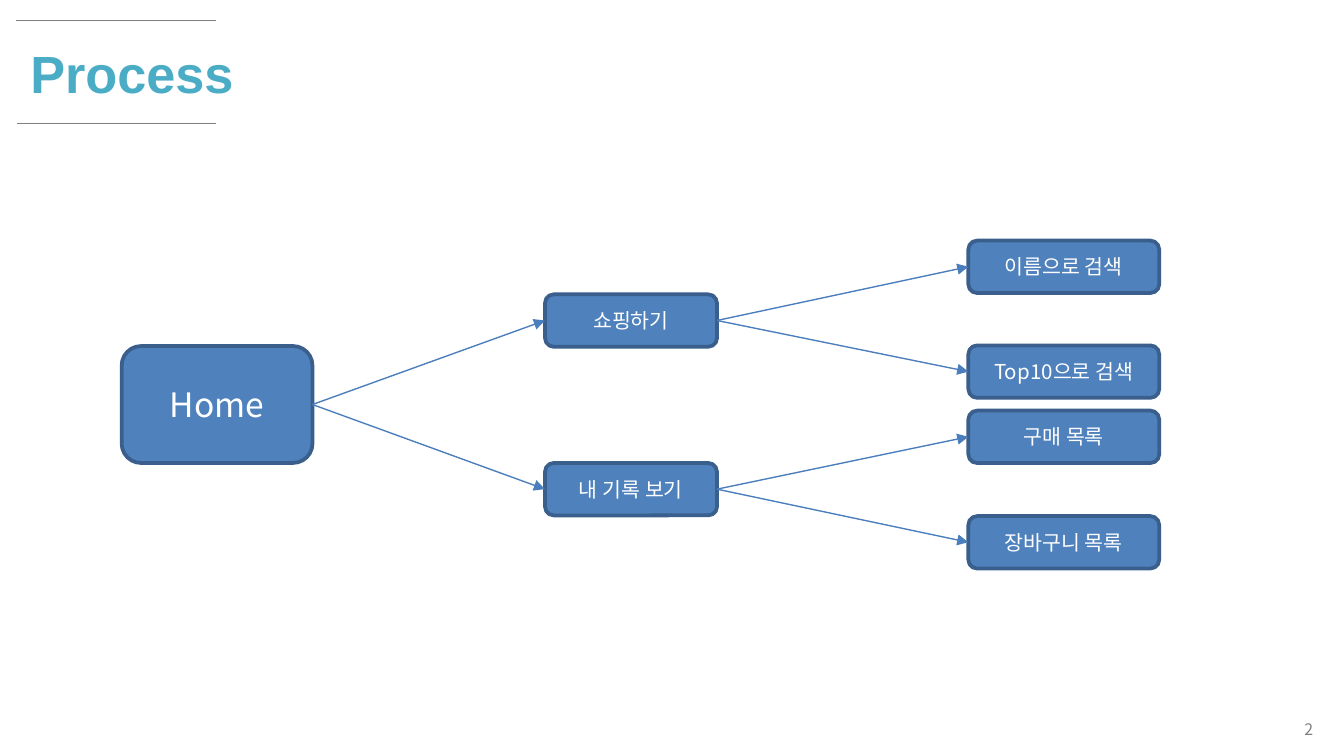
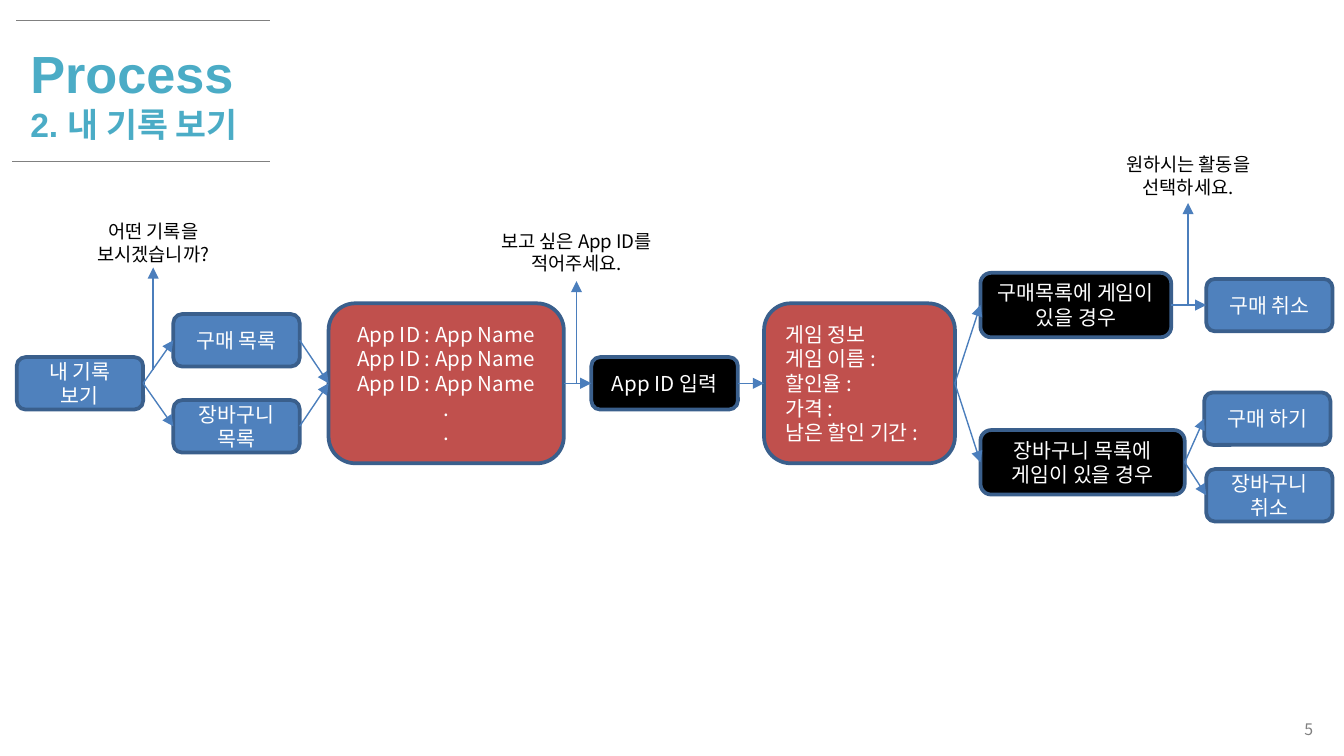
from lxml.etree import SubElement
from pptx import Presentation
from pptx.dml.color import RGBColor
from pptx.enum.shapes import MSO_CONNECTOR, MSO_SHAPE
from pptx.enum.text import MSO_ANCHOR, MSO_AUTO_SIZE, PP_ALIGN
from pptx.oxml.ns import qn
from pptx.util import Inches, Pt

BLUE, RED, BLACK, WHITE = "4F81BD", "C0504D", "000000", "FFFFFF"
EDGE, ARROW, TEAL, GRAY = "3A5F8C", "4B7EBC", "4BACC6", "808080"
KOREAN, LATIN = "Noto Sans CJK KR", "Arial"
LEFT, RIGHT = 1, 3
COLS, ROWS = 100, 56.25
NODE_H = 3.9


def color(value):
    return RGBColor.from_string(value)


def grid(*cells):
    return [Inches(cell / 10) for cell in cells]


class Deck:
    def __init__(self):
        self.prs = Presentation()
        self.prs.slide_width, self.prs.slide_height = grid(COLS, ROWS)
        self.s = None

    def slide(self, title, number, width, rule_right, foot, foot_left):
        self.s = self.prs.slides.add_slide(self.prs.slide_layouts[5])
        self.title(title, width)
        self.line(1.2, 1.55, rule_right, 1.55, GRAY)
        self.line(foot_left, foot, rule_right, foot, GRAY)
        self.text(number, 77.6, 53.2, 21.1, 2.1, 8.5, GRAY,
                  PP_ALIGN.RIGHT, MSO_ANCHOR.MIDDLE)

    def format(self, tf, size, ink, align, anchor, font=KOREAN, bold=False):
        tf.word_wrap = True
        tf.vertical_anchor = anchor
        for p in tf.paragraphs:
            p.alignment = align
            for r in p.runs:
                r.font.size, r.font.bold, r.font.name = Pt(size), bold, font
                r.font.color.rgb = color(ink)
                SubElement(r.font._element, qn("a:ea"), typeface=KOREAN)

    def title(self, text, width):
        sp = self.s.shapes.title
        sp.left, sp.top, sp.width, sp.height = grid(1.25, 2.6, width, 8.8)
        tf = sp.text_frame
        tf.text = text
        tf.auto_size = MSO_AUTO_SIZE.NONE
        self.format(tf, 28, TEAL, PP_ALIGN.LEFT, MSO_ANCHOR.TOP, LATIN, True)
        for p in tf.paragraphs:
            pPr = p._p.get_or_add_pPr()
            pPr.set("marL", str(Inches(0.38)))
            pPr.set("indent", str(-Inches(0.38)))
        for p in tf.paragraphs[1:]:
            p.runs[0].font.size = Pt(18)

    def text(self, text, left, top, width, height, size, ink, align,
             anchor=MSO_ANCHOR.TOP):
        sp = self.s.shapes.add_textbox(*grid(left, top, width, height))
        sp.text_frame.text = text
        self.format(sp.text_frame, size, ink, align, anchor)

    def node(self, text, left, middle, width, height=NODE_H, fill=BLUE,
             size=11, align=PP_ALIGN.CENTER):
        sp = self.s.shapes.add_shape(
            MSO_SHAPE.ROUNDED_RECTANGLE,
            *grid(left, middle - height / 2, width, height))
        sp.shadow.inherit = False
        sp.fill.solid()
        sp.fill.fore_color.rgb = color(fill)
        sp.line.color.rgb = color(EDGE)
        sp.line.width = Pt(2)
        sp.text_frame.text = text
        self.format(sp.text_frame, size, WHITE, align, MSO_ANCHOR.MIDDLE)
        return sp

    def line(self, x1, y1, x2, y2, ink, arrow=False):
        c = self.s.shapes.add_connector(MSO_CONNECTOR.STRAIGHT,
                                        *grid(x1, y1, x2, y2))
        c.line.color.rgb = color(ink)
        c.line.width = Pt(0.75)
        if arrow:
            SubElement(c.line._get_or_add_ln(), qn("a:tailEnd"),
                       type="triangle")
        SubElement(c._element.spPr, qn("a:effectLst"))
        return c

    def link(self, start, *ends):
        for end in ends:
            c = self.line(0, 0, 1, 1, ARROW, True)
            c.begin_connect(start, RIGHT)
            c.end_connect(end, LEFT)

    def note(self, text, center, top, width, foot):
        self.line(center, foot, center, foot - 7.6, ARROW, True)
        self.text(text, center - width / 2, top, width, 4.4, 10, BLACK,
                  PP_ALIGN.CENTER)


def overview(deck):
    deck.slide("Process", "2", 26.7, 16.1, 9.2, 1.3)
    home_col, menu_col, page_col = (9.05 + 31.5 * i for i in range(3))
    home = deck.node("Home", home_col, 30.1, 14.2, 8.7, size=18)
    menus = [
        ("쇼핑하기", 23.85, [("이름으로 검색", 19.85), ("Top10으로 검색", 27.65)]),
        ("내 기록 보기", 36.4, [("구매 목록", 32.5), ("장바구니 목록", 40.35)]),
    ]
    for name, middle, pages in menus:
        menu = deck.node(name, menu_col, middle, 12.8)
        deck.link(home, menu)
        deck.link(menu, *[deck.node(page, page_col, y, 14.2)
                          for page, y in pages])


def records(deck):
    deck.slide("Process\n2. 내 기록 보기", "5", 19.6, 20.1, 12, 0.9)
    axis, small = 28.52, 9.4
    start = deck.node("내 기록 보기", 1.25, axis, small)
    lists = [deck.node(name, 12.9, axis + shift, small)
             for name, shift in (("구매 목록", -3.2), ("장바구니 목록", 3.2))]
    apps = deck.node("\n".join(["App ID : App Name"] * 3 + ["."] * 2),
                     24.45, axis, 17.5, 11.9, RED)
    entry = deck.node("App ID 입력", 44, axis, 10.9, fill=BLACK)
    info = deck.node("게임 정보\n게임 이름 :\n할인율 :\n가격 :\n남은 할인 기간 :",
                     56.85, axis, 14.2, 11.9, RED, align=PP_ALIGN.LEFT)
    bought = deck.node("구매목록에 게임이 있을 경우", 72.95, 22.7, 14.2, 4.8, BLACK)
    basket = deck.node("장바구니 목록에 게임이 있을 경우", 72.95, 34.4, 15.2, 4.8,
                       BLACK)
    refund = deck.node("구매 취소", 89.75, 22.7, small)
    buy = deck.node("구매 하기", 89.6, 31.15, small)
    drop = deck.node("장바구니 취소", 89.75, 36.85, small)

    deck.link(start, *lists)
    for item in lists:
        deck.link(item, apps)
    deck.link(apps, entry)
    deck.link(entry, info)
    deck.link(info, bought, basket)
    deck.link(bought, refund)
    deck.link(basket, buy, drop)

    deck.note("어떤 기록을 보시겠습니까?", 11.4, 15.9, 11.8, 27.5)
    deck.note("보고 싶은 App ID를 적어주세요.", 42.9, 16.6, 14.8, axis)
    deck.note("원하시는 활동을 선택하세요.", 88.4, 10.9, 14.8, 22.7)


def main():
    deck = Deck()
    overview(deck)
    records(deck)
    deck.prs.save("out.pptx")


if __name__ == "__main__":
    main()
